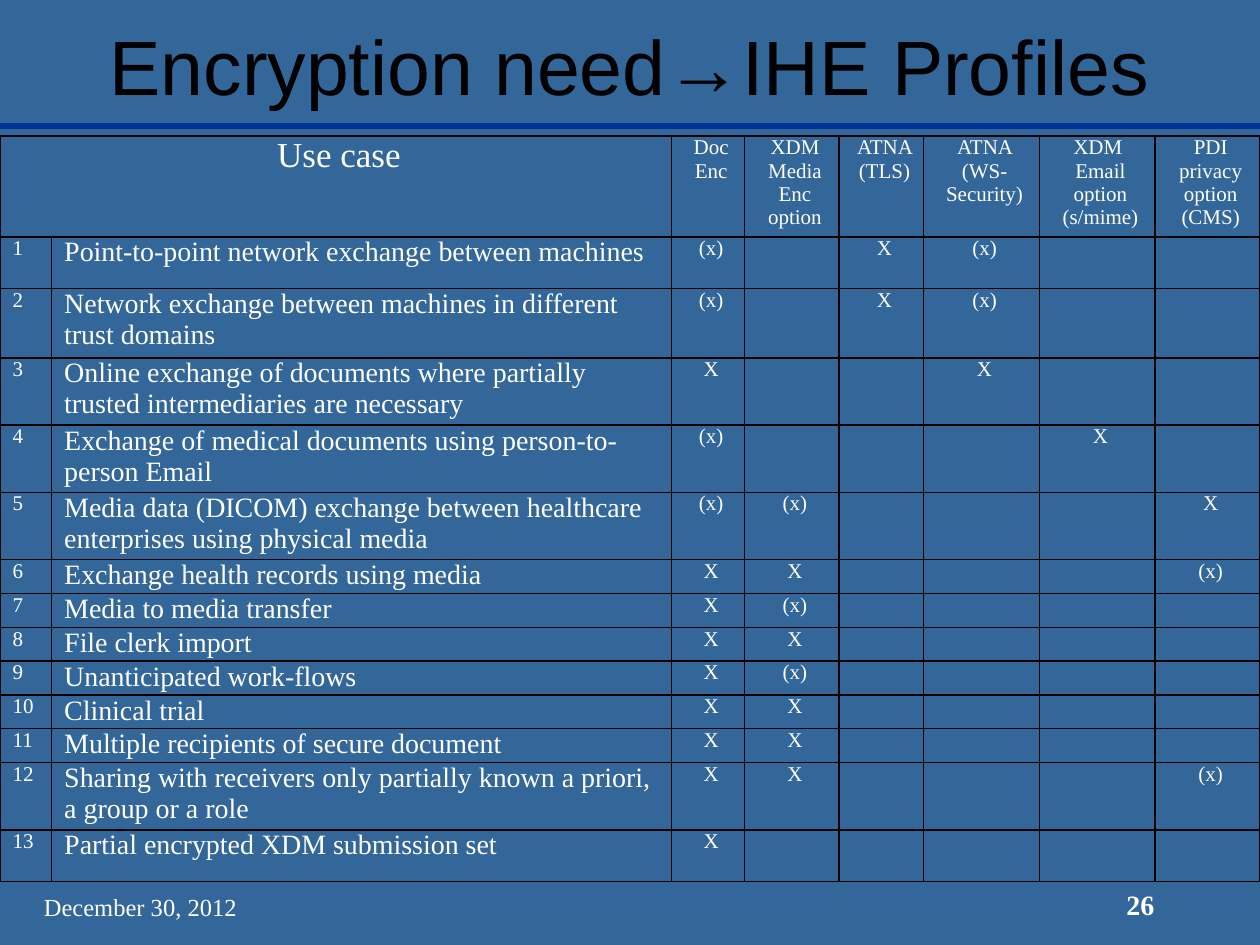
from lxml import etree
from pptx import Presentation
from pptx.dml.color import RGBColor
from pptx.enum.shapes import MSO_CONNECTOR
from pptx.enum.text import MSO_ANCHOR, PP_ALIGN
from pptx.oxml.ns import qn
from pptx.util import Inches, Pt

STRAIGHT = MSO_CONNECTOR.STRAIGHT
MIDDLE = MSO_ANCHOR.MIDDLE
LEFT, CENTER = PP_ALIGN.LEFT, PP_ALIGN.CENTER
SERIF, SANS = "Times New Roman", "Arial"
WHITE, BLACK, BLUE, NAVY = "FFFFFF", "000000", "336699", "003399"


def rgb(color):
    return RGBColor.from_string(color)


def write(p, text, size, align=LEFT, font=SERIF, color=WHITE, bold=False):
    p.alignment = align
    for i, line in enumerate(text.split("\n")):
        if i:
            p.add_line_break()
        r = p.add_run()
        r.text = line
        r.font.size = Pt(size)
        r.font.name = font
        r.font.bold = bold
        r.font.color.rgb = rgb(color)


prs = Presentation()
prs.slide_width, prs.slide_height = Inches(10), Inches(7.5)
s = prs.slides.add_slide(prs.slide_layouts[6])
s.background.fill.solid()
s.background.fill.fore_color.rgb = rgb(BLUE)

rule = s.shapes.add_connector(STRAIGHT, 0, Inches(1), prs.slide_width, Inches(1))
rule.line.color.rgb = rgb(NAVY)
rule.line.width = Pt(3)
etree.SubElement(rule._element.spPr, qn("a:effectLst"))

boxes = [
    ((0.25, 6.95, 2.08, 0.5), "December 30, 2012", 14, LEFT, SERIF, WHITE, False),
    ((8.34, 6.93, 1.42, 0.5), "26", 16, CENTER, SERIF, WHITE, True),
    ((0.75, 0.04, 8.5, 0.94), "Encryption need→IHE Profiles", 44, CENTER, SANS, BLACK, False),
]
for place, *style in boxes:
    tf = s.shapes.add_textbox(*[Inches(v) for v in place]).text_frame
    tf.word_wrap = True
    tf.vertical_anchor = MIDDLE
    write(tf.paragraphs[0], *style)

headers = ["Use case", "", "Doc Enc", "XDM Media Enc option", "ATNA (TLS)",
           "ATNA (WS-Security)", "XDM \nEmail option\n(s/mime)",
           "PDI privacy option\n(CMS)"]
use_cases = [
    ("Point-to-point network exchange between machines", "(x)", "", "X", "(x)"),
    ("Network exchange between machines in different trust domains", "(x)", "", "X", "(x)"),
    ("Online exchange of documents where partially trusted intermediaries are necessary",
     "X", "", "", "X"),
    ("Exchange of medical documents using person-to-person Email", "(x)", "", "", "", "X"),
    ("Media data (DICOM) exchange between healthcare enterprises using physical media",
     "(x)", "(x)", "", "", "", "X"),
    ("Exchange health records using media", "X", "X", "", "", "", "(x)"),
    ("Media to media transfer", "X", "(x)"),
    ("File clerk import", "X", "X"),
    ("Unanticipated work-flows", "X", "(x)"),
    ("Clinical trial", "X", "X"),
    ("Multiple recipients of secure document", "X", "X"),
    ("Sharing with receivers only partially known a priori, a group or a role",
     "X", "X", "", "", "", "(x)"),
    ("Partial encrypted XDM submission set", "X"),
]
rows = [headers] + [[str(n), *case] for n, case in enumerate(use_cases, 1)]
widths = [0.41, 4.92, 0.58, 0.75, 0.67, 0.92, 0.92, 0.83]
heights = [0.75, 0.41, 0.55, 0.49, 0.49, 0.49, 0.27, 0.27, 0.25, 0.27, 0.26, 0.27, 0.49, 0.41]

frame = s.shapes.add_table(len(rows), len(widths), 0, Inches(1.08),
                           Inches(sum(widths)), Inches(sum(heights)))
table = frame.table
table.first_row = table.horz_banding = False
for col, width in zip(table.columns, widths):
    col.width = Inches(width)
for row, height in zip(table.rows, heights):
    row.height = Inches(height)
table.cell(0, 0).merge(table.cell(0, 1))

for i, values in enumerate(rows):
    for j in range(len(widths)):
        cell = table.cell(i, j)
        cell.margin_left = cell.margin_right = Inches(0.05)
        cell.margin_top = cell.margin_bottom = 0
        tcPr = cell._tc.get_or_add_tcPr()
        for side in ("lnL", "lnR", "lnT", "lnB"):
            ln = etree.SubElement(tcPr, qn(f"a:{side}"), w=str(Pt(1)))
            fill = etree.SubElement(ln, qn("a:solidFill"))
            etree.SubElement(fill, qn("a:srgbClr"), val=BLACK)
        cell.fill.background()

        p = cell.text_frame.paragraphs[0]
        p.space_before = p.space_after = Pt(2)
        pPr = p._p.get_or_add_pPr()
        pPr.set("marL", str(Inches(0.05)))
        pPr.set("indent", "0")
        text = values[j] if j < len(values) else ""
        if text:
            size = 20 if i == j == 0 else 16 if j == 1 else 12
            write(p, text, size, CENTER if i == 0 or j > 1 else LEFT)
        else:
            etree.SubElement(p._p, qn("a:endParaRPr"), sz="1200")

prs.save("out.pptx")
